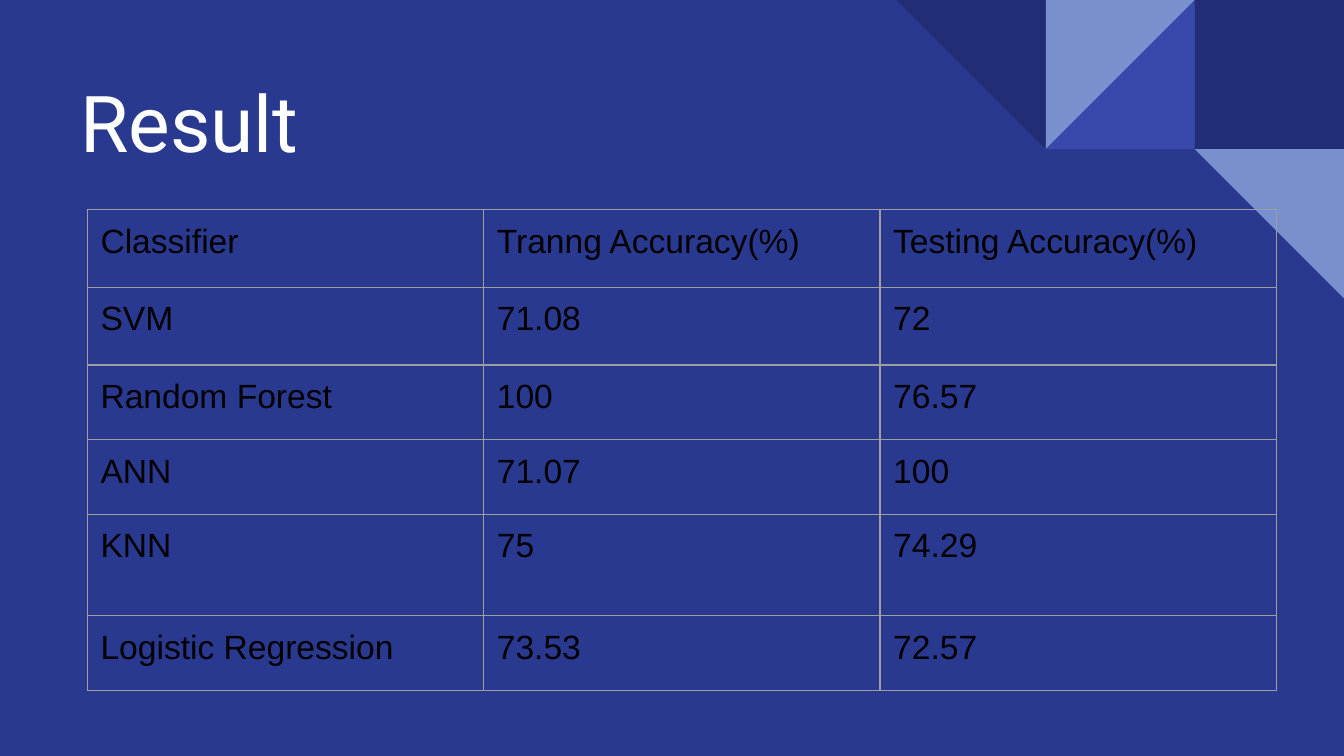
from lxml import etree
from pptx import Presentation
from pptx.dml.color import RGBColor
from pptx.enum.shapes import MSO_SHAPE
from pptx.enum.text import MSO_ANCHOR
from pptx.oxml.ns import qn
from pptx.util import Cm, Pt

SQUARE = MSO_SHAPE.RECTANGLE
TRIANGLE = MSO_SHAPE.RIGHT_TRIANGLE
BOTTOM = MSO_ANCHOR.BOTTOM

COLORS = {
    "background": "2A3990",
    "navy": "212D74",
    "indigo": "3949AB",
    "sky": "7890CD",
    "title": "FFFFFF",
    "cell_text": "000000",
    "border": "9E9E9E",
}
SLIDE_WIDTH = 25.4
TILE = 2.82
INSET = Cm(0.25)


def write(frame, text, font, size, color):
    """Fill a text frame or cell frame with one styled run."""
    run = frame.paragraphs[0].add_run()
    run.text = text
    run.font.name = font
    run.font.size = Pt(size)
    run.font.color.rgb = RGBColor.from_string(COLORS[color])


def outline_cell(cell):
    properties = cell._tc.get_or_add_tcPr()
    # Borders must come before the fill in the cell properties.
    for position, side in enumerate(("a:lnL", "a:lnR", "a:lnT", "a:lnB")):
        line = etree.Element(qn(side), w=str(Pt(0.75)))
        fill = etree.SubElement(line, qn("a:solidFill"))
        etree.SubElement(fill, qn("a:srgbClr"), val=COLORS["border"])
        properties.insert(position, line)


prs = Presentation()
prs.slide_width = Cm(SLIDE_WIDTH)
prs.slide_height = Cm(14.29)
slide = prs.slides.add_slide(prs.slide_layouts[6])
slide.background.fill.solid()
slide.background.fill.fore_color.rgb = RGBColor.from_string(COLORS["background"])

# Corner mosaic: tiles counted from the right edge, then rows from the top
mosaic = [
    (SQUARE, 1, 0, 0, "navy"),
    (TRIANGLE, 2, 0, 270, "indigo"),
    (TRIANGLE, 2, 0, 90, "sky"),
    (TRIANGLE, 3, 0, 180, "navy"),
    (TRIANGLE, 1, 1, 180, "sky"),
]
for kind, from_right, row, rotation, color in mosaic:
    tile = slide.shapes.add_shape(
        kind, Cm(SLIDE_WIDTH - from_right * TILE), Cm(row * TILE), Cm(TILE), Cm(TILE)
    )
    tile.rotation = rotation
    tile.shadow.inherit = False
    tile.fill.solid()
    tile.fill.fore_color.rgb = RGBColor.from_string(COLORS[color])
    tile.line.fill.background()

title = slide.shapes.add_textbox(Cm(1.27), Cm(1.02), Cm(22.83), Cm(2.41)).text_frame
title.word_wrap = True
title.vertical_anchor = BOTTOM
title.margin_left = title.margin_right = INSET
title.margin_top = title.margin_bottom = INSET
write(title, "Result", "Roboto", 42, "title")

accuracies = [
    ("Classifier", "Tranng Accuracy(%)", "Testing Accuracy(%)"),
    ("SVM", "71.08", "72"),
    ("Random Forest", "100", "76.57"),
    ("ANN", "71.07", "100"),
    ("KNN", "75", "74.29"),
    ("Logistic Regression", "73.53", "72.57"),
]
row_heights = [1.47, 1.47, 1.41, 1.41, 1.92, 1.41]
column_width = 7.49

results = slide.shapes.add_table(
    len(accuracies), 3, Cm(1.65), Cm(3.96), Cm(3 * column_width), Cm(sum(row_heights))
).table
results.first_row = False
results.horz_banding = False
for column in results.columns:
    column.width = Cm(column_width)
for row, height, values in zip(results.rows, row_heights, accuracies):
    row.height = Cm(height)
    for cell, value in zip(row.cells, values):
        cell.margin_left = cell.margin_right = INSET
        cell.margin_top = cell.margin_bottom = INSET
        cell.fill.background()
        outline_cell(cell)
        write(cell.text_frame, value, "Arial", 18, "cell_text")

prs.save("out.pptx")
